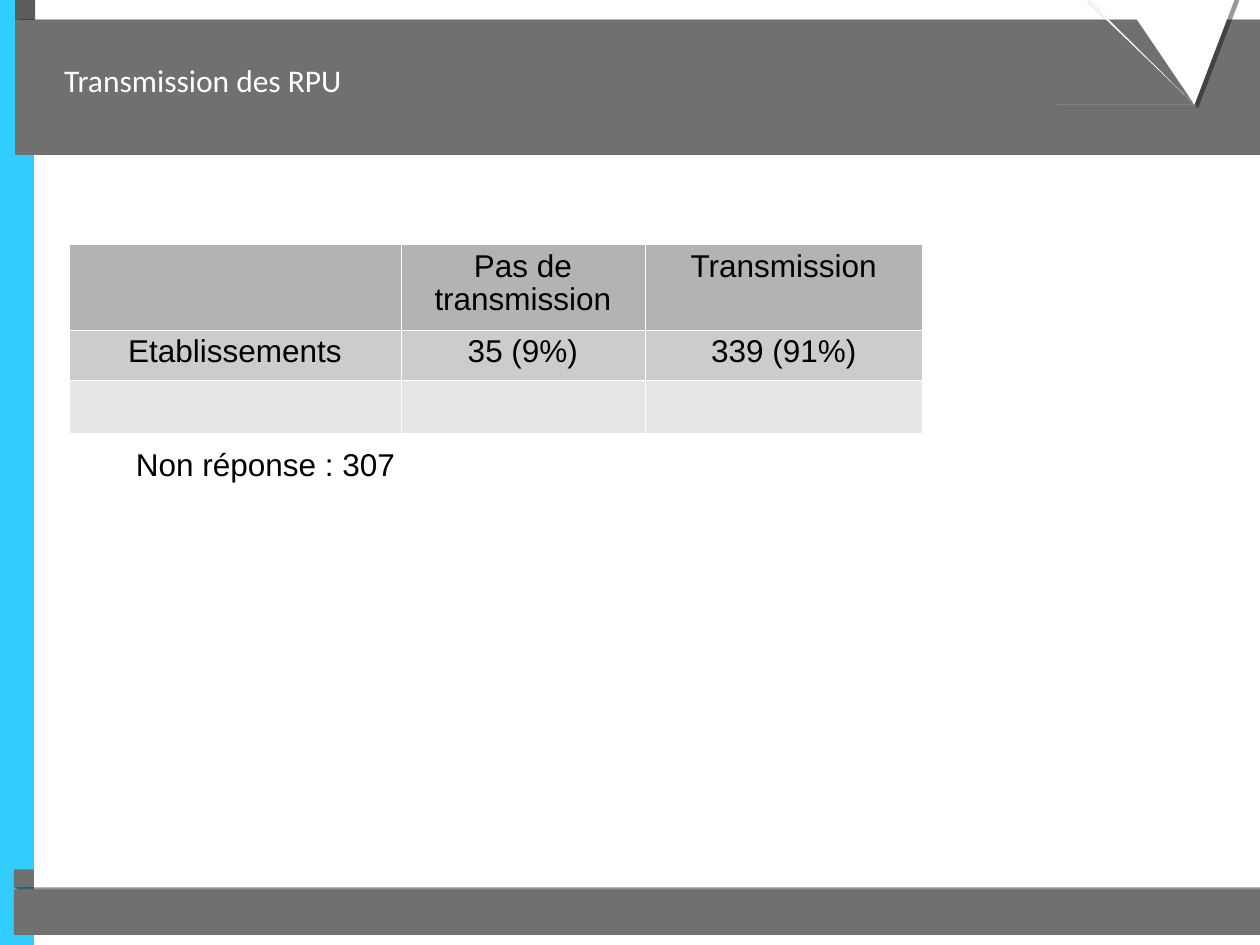
from lxml import etree
from pptx import Presentation, util as u
from pptx.dml.color import RGBColor
from pptx.enum import shapes, text
from pptx.oxml.ns import qn

C = {"cyan": "33CCFF", "dark": "5C5C5C", "grey": "70706F", "white": "FFFFFF",
     "black": "000000", "head": "B3B3B3", "body": "CCCCCC", "last": "E6E6E6"}
W, H = 10, 7.5

# Content
TITLE = "Transmission des RPU"
ROWS = [["", "Pas de transmission", "Transmission"],
        ["Etablissements", "35 (9%)", "339 (91%)"],
        ["", "", ""]]
NOTE = "Non réponse\u00a0: 307"
COL_W, ROW_H = [2.63, 1.94, 2.2], [0.68, 0.4, 0.42]
ROW_FILL = ["head", "body", "last"]

# Frame: left, top, width, height, colour, shadow (opacity %, distance pt, angle)
BARS = [(0, 0, 0.27, H, "cyan", None),
        (0.12, 0, 0.16, 0.16, "dark", None),
        (0.11, 6.9, 0.16, 0.15, "grey", None),
        (0.11, 7.06, W - 0.11, 0.36, "grey", (41, 2, 320)),
        (0.12, 0.16, W - 0.12, 1.07, "grey", (41, 2, 350))]
# Corner rays, in hundredths of an inch
RAYS = [(839, 83), (948, 83), (846, -15), (879, -19), (948, 83),
        (849, -15), (988, -22), (948, 83)]


def rgb(name):
    return RGBColor.from_string(C[name])


def paint(sp, color, shadow=None):
    sp.fill.solid()
    sp.fill.fore_color.rgb = rgb(color)
    sp.line.fill.background()
    sp.shadow.inherit = False
    if shadow:
        alpha, dist, angle = shadow
        effects = sp._element.spPr.find(qn("a:effectLst"))
        outer = etree.SubElement(effects, qn("a:outerShdw"), blurRad="0",
                                 dist=str(u.Pt(dist)), dir=str(angle * 60000),
                                 algn="ctr", rotWithShape="0")
        clr = etree.SubElement(outer, qn("a:srgbClr"), val=C["black"])
        etree.SubElement(clr, qn("a:alpha"), val=str(alpha * 1000))


def write(tf, content, font="Arial", size=18, color="black",
          align=text.PP_ALIGN.LEFT, spacing=0.94, anchor=text.MSO_ANCHOR.TOP,
          insets=(0.1, 0.05, 0.1, 0.05)):
    tf.word_wrap = True
    tf.vertical_anchor = anchor
    (tf.margin_left, tf.margin_top,
     tf.margin_right, tf.margin_bottom) = map(u.Inches, insets)
    p = tf.paragraphs[0]
    p.alignment, p.line_spacing = align, spacing
    if content:
        r = p.add_run()
        r.text = content
        r.font.name, r.font.size = font, u.Pt(size)
        r.font.bold = False
        r.font.color.rgb = rgb(color)


def border(cell, color="white", width=0.06):
    tc_pr = cell._tc.get_or_add_tcPr()
    for side in ("lnL", "lnR", "lnT", "lnB"):
        ln = etree.SubElement(tc_pr, qn("a:" + side), w=str(u.Pt(width)))
        fill = etree.SubElement(ln, qn("a:solidFill"))
        etree.SubElement(fill, qn("a:srgbClr"), val=C[color])


prs = Presentation()
prs.slide_width, prs.slide_height = u.Inches(W), u.Inches(H)
s = prs.slides.add_slide(prs.slide_layouts[5])

# Bars and corner rays
for *box, color, shadow in BARS:
    sp = s.shapes.add_shape(shapes.MSO_SHAPE.RECTANGLE, *map(u.Inches, box))
    paint(sp, color, shadow)
fb = s.shapes.build_freeform(*RAYS[0], scale=u.Inches(0.01))
fb.add_line_segments(RAYS[1:], close=True)
paint(fb.convert_to_shape(), "white", (40, 3, 45))

# Title, raised above the band
title = s.shapes.title
title.left, title.top, title.width, title.height = map(
    u.Inches, (0.51, 0.21, 7.64, 0.87))
write(title.text_frame, TITLE, font="Calibri", color="white", spacing=0.98,
      anchor=text.MSO_ANCHOR.MIDDLE, insets=(0, 0.01, 0, 0))
title.text_frame.auto_size = text.MSO_AUTO_SIZE.NONE
s.shapes._spTree.append(title._element)

# Table
tbl = s.shapes.add_table(len(ROW_H), len(COL_W), *map(
    u.Inches, (0.55, 1.94, sum(COL_W), sum(ROW_H)))).table
for col, width in zip(tbl.columns, COL_W):
    col.width = u.Inches(width)
for i, (row, height) in enumerate(zip(tbl.rows, ROW_H)):
    row.height = u.Inches(height)
    for cell, content in zip(row.cells, ROWS[i]):
        border(cell)
        cell.fill.solid()
        cell.fill.fore_color.rgb = rgb(ROW_FILL[i])
        write(cell.text_frame, content, align=text.PP_ALIGN.CENTER)

# Note
note = s.shapes.add_textbox(*map(u.Inches, (0.98, 3.5, 3.23, 0.38)))
write(note.text_frame, NOTE, insets=(0.1, 0.06, 0.1, 0.05))

prs.save("out.pptx")
